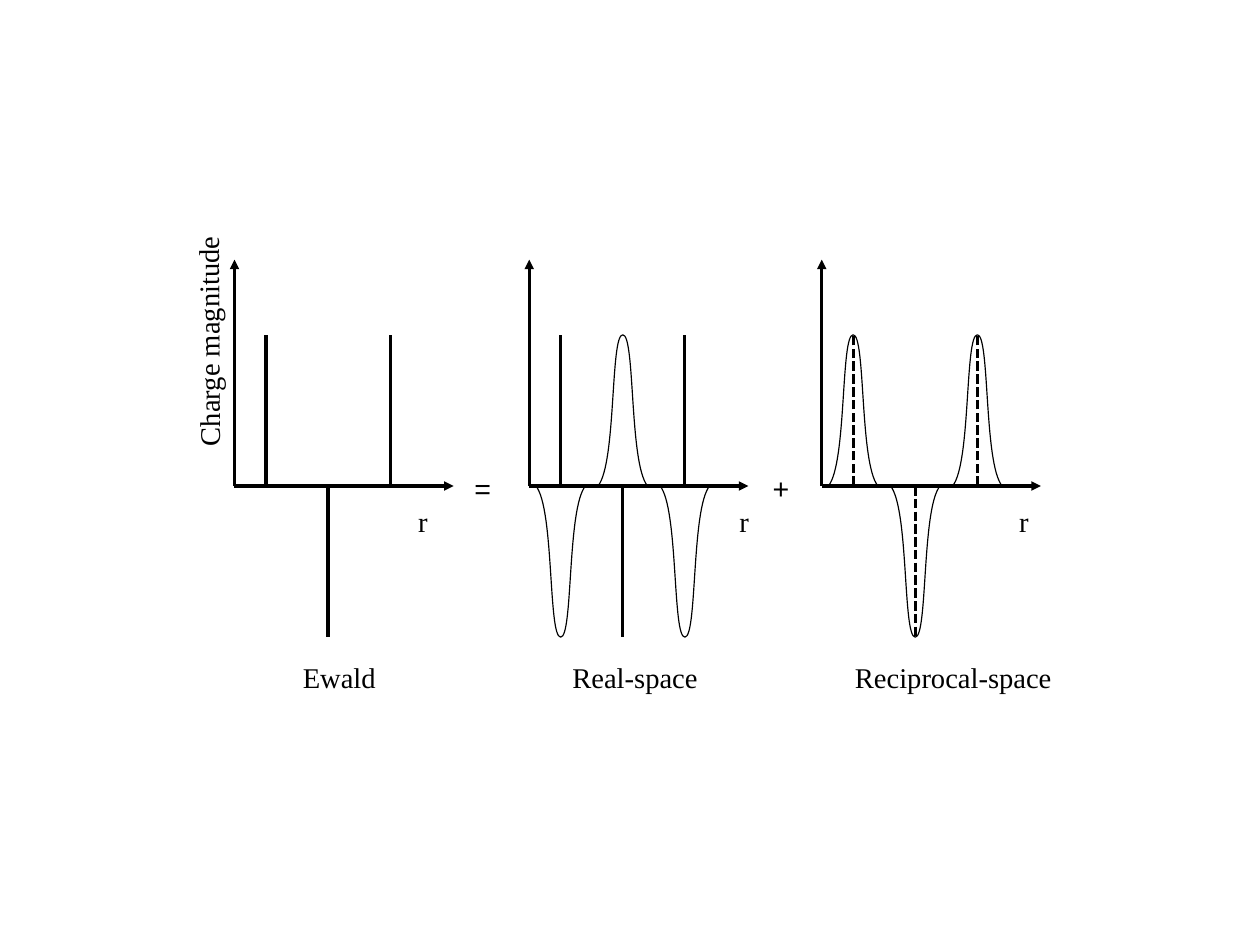
from lxml import etree
from pptx import Presentation
from pptx.dml.color import RGBColor
from pptx.enum.dml import MSO_LINE
from pptx.enum.shapes import MSO_CONNECTOR
from pptx.enum.text import MSO_AUTO_SIZE
from pptx.oxml.ns import qn
from pptx.util import Cm, Pt

BLACK = "000000"
BASE, PEAK, AXIS = 10.8, 3.36, 5.03
SIGNS = (1, -1, 1)
# Half-width control points of a bell: offset from centre, share of the peak
BELL = [(-0.55, 0), (-0.14, 0.15), (-0.28, 1), (0, 1),
        (0.28, 1), (0.14, 0.15), (0.55, 0)]

deck = Presentation()
deck.slide_width, deck.slide_height = Cm(28), Cm(21)
shapes = deck.slides.add_slide(deck.slide_layouts[6]).shapes


def paint(fill, color):
    fill.solid()
    fill.fore_color.rgb = RGBColor.from_string(color)


def draw(x1, y1, x2, y2, arrow=False):
    line = shapes.add_connector(MSO_CONNECTOR.STRAIGHT,
                                Cm(x1), Cm(y1), Cm(x2), Cm(y2))
    paint(line.line.fill, BLACK)
    line.line.width = 0
    if arrow:
        etree.SubElement(line.line._get_or_add_ln(), qn("a:tailEnd"),
                         type="triangle")
    etree.SubElement(line._element.spPr, qn("a:effectLst"))
    return line


# Panels: left edge, sign of the bells against the spikes, dashed spikes
for left, flip, dashed in [(5.21, 0, False), (11.76, -1, False),
                           (18.26, 1, True)]:
    draw(left, BASE, left + 4.87, BASE, arrow=True)
    draw(left, BASE, left, BASE - AXIS, arrow=True)
    for i, sign in enumerate(SIGNS):
        mid = left + 0.7 + 1.38 * i
        spike = draw(mid, BASE, mid, BASE - sign * PEAK)
        if dashed:
            spike.line.dash_style = MSO_LINE.SQUARE_DOT
        if not flip:
            continue

        # Bell: each three points become one cubic curve
        dots = [(Cm(mid + dx), Cm(BASE - sign * flip * PEAK * part))
                for dx, part in BELL]
        pen = shapes.build_freeform(*dots[0])
        pen.add_line_segments(dots[1:], close=flip < 0 and sign < 0)
        bell = pen.convert_to_shape()
        bell.shadow.inherit = False
        bell.fill.background()
        paint(bell.line.fill, BLACK)
        bell.line.width = 0
        steps = list(bell._element.iter(qn("a:lnTo")))
        for k in (0, 3):
            curve = etree.Element(qn("a:cubicBezTo"))
            steps[k].addprevious(curve)
            for step in steps[k:k + 3]:
                curve.append(step[0])
                step.getparent().remove(step)

# Labels: text, left, top, width, font, wrap, turn
SERIF, SANS = "Times New Roman", "Arial"
for text, left, top, width, font, wrap, turn in [
        ("+", 16.92, 10.34, 0.69, SANS, True, 0),
        ("=", 10.29, 10.34, 0.79, SANS, True, 0),
        ("Charge magnitude", 2.01, 7.09, 5.18, SERIF, False, 269.6),
        ("r", 9.04, 11.07, 0.71, SERIF, False, 0),
        ("r", 16.18, 11.07, 0.71, SERIF, False, 0),
        ("r", 22.4, 11.07, 0.71, SERIF, False, 0),
        ("Ewald", 6.48, 14.53, 2.13, SERIF, False, 0),
        ("Real-space", 12.47, 14.53, 3.45, SERIF, False, 0),
        ("Reciprocal-space", 18.75, 14.53, 4.88, SERIF, False, 0)]:
    box = shapes.add_textbox(Cm(left), Cm(top), Cm(width), Cm(0.97))
    box.rotation = turn
    frame = box.text_frame
    frame.word_wrap = wrap
    frame.auto_size = MSO_AUTO_SIZE.SHAPE_TO_FIT_TEXT
    para = frame.paragraphs[0]
    para.text = text
    para.font.name, para.font.size = font, Pt(18)
    paint(para.font.fill, BLACK)

deck.save("out.pptx")
